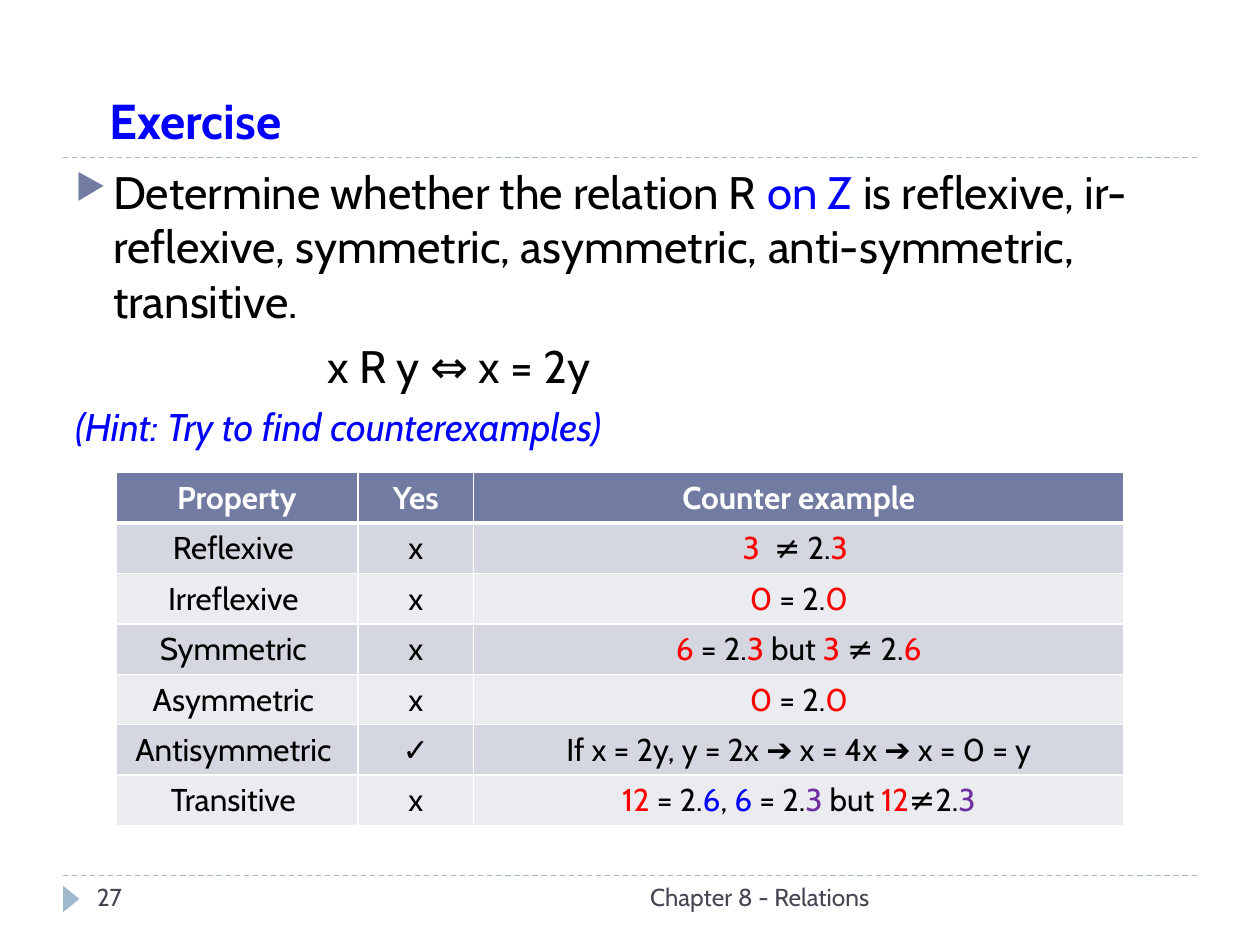
from lxml.etree import SubElement
from pptx import Presentation
from pptx.dml.color import RGBColor
from pptx.enum.dml import MSO_LINE
from pptx.enum.shapes import MSO_CONNECTOR, MSO_SHAPE
from pptx.enum.text import MSO_ANCHOR, MSO_AUTO_SIZE, PP_ALIGN
from pptx.oxml import parse_xml
from pptx.oxml.ns import nsdecls, qn
from pptx.util import Inches, Pt

BLACK = RGBColor(0x00, 0x00, 0x00)
WHITE = RGBColor(0xFF, 0xFF, 0xFF)
BLUE = RGBColor(0x00, 0x00, 0xFF)
RED = RGBColor(0xFF, 0x00, 0x00)
PURPLE = RGBColor(0x70, 0x30, 0xA0)
SLATE = RGBColor(0x72, 0x7C, 0xA3)
SKY = RGBColor(0x9F, 0xB8, 0xCD)
FOOTER_GREY = RGBColor(0x46, 0x46, 0x53)
BAND_DARK = RGBColor(0xD5, 0xD7, 0xE0)
BAND_LIGHT = RGBColor(0xEB, 0xEC, 0xF0)

FONT = "Cabin"
WIDTH, HEIGHT = 10, 7.5
MARGIN = 0.5
TITLE_RULE, FOOTER_RULE = 1.25, 6.95

COLUMN_SHARES = (0.24, 0.115, 0.645)
HEADERS = ("Property", "Yes", "Counter example")
ZERO_CASE = [("0", RED), (" = 2.", BLACK), ("0", RED)]
PROPERTIES = [
    ("Reflexive ", "x", [("3 ", RED), (" ≠ 2.", BLACK), ("3 ", RED)]),
    ("Irreflexive ", "x", ZERO_CASE),
    ("Symmetric ", "x", [("6", RED), (" = 2.", BLACK), ("3", RED), (" but ", BLACK),
                         ("3 ", RED), ("≠ 2.", BLACK), ("6", RED)]),
    ("Asymmetric ", "x", ZERO_CASE),
    ("Antisymmetric ", "✓", [("If x = 2y, y = 2x ➔ x = 4x ➔ x = 0 = y", BLACK)]),
    ("Transitive ", "x", [("12", RED), (" = 2.", BLACK), ("6", BLUE), (", ", BLACK),
                          ("6", BLUE), (" = 2.", BLACK), ("3", PURPLE), (" but ", BLACK),
                          ("12", RED), ("≠2.", BLACK), ("3", PURPLE)]),
]


def add_runs(paragraph, runs, **formats):
    """Append (text, colour) runs that share the given font attributes."""
    for text, colour in runs:
        run = paragraph.add_run()
        run.text = text
        run.font.color.rgb = colour
        for name, value in {"name": FONT, **formats}.items():
            setattr(run.font, name, value)


def add_text_frame(slide, box, wrap=True):
    frame = slide.shapes.add_textbox(*map(Inches, box)).text_frame
    frame.word_wrap = wrap
    return frame


def set_indent(paragraph, left, first=0):
    properties = paragraph._p.get_or_add_pPr()
    properties.set("marL", str(Inches(left)))
    properties.set("indent", str(Inches(first)))
    return properties


def add_triangle_bullet(properties):
    colour = SubElement(properties, qn("a:buClr"))
    SubElement(colour, qn("a:srgbClr"), val=str(SLATE))
    SubElement(properties, qn("a:buSzPct"), val="76000")
    SubElement(properties, qn("a:buChar"), char="▶")


def add_dashed_rule(slide, top):
    rule = slide.shapes.add_connector(
        MSO_CONNECTOR.STRAIGHT,
        *map(Inches, (MARGIN, top, WIDTH - MARGIN, top)))
    rule.line.color.rgb = SKY
    rule.line.width = Pt(0.75)
    rule.line.dash_style = MSO_LINE.DASH
    SubElement(rule._element.spPr, qn("a:effectLst"))


def add_title(slide, box):
    frame = add_text_frame(slide, box, wrap=False)
    frame.auto_size = MSO_AUTO_SIZE.SHAPE_TO_FIT_TEXT
    add_runs(frame.paragraphs[0], [("Exercise", BLUE)], size=Pt(28), bold=True)


def add_question(slide, box):
    frame = add_text_frame(slide, box)
    task, relation, hint = (
        frame.paragraphs[0], frame.add_paragraph(), frame.add_paragraph())
    for paragraph in frame.paragraphs:
        paragraph.space_before = Pt(6)
    add_triangle_bullet(set_indent(task, 0.3, -0.3))
    add_runs(task, [
        ("Determine whether the relation R ", BLACK),
        ("on Z", BLUE),
        (" is reflexive, ir-reflexive, symmetric, asymmetric, "
         "anti-symmetric, transitive.", BLACK),
    ], size=Pt(26))
    set_indent(relation, 2)
    add_runs(relation, [("x R y ⇔ x = 2y", BLACK)], size=Pt(26))
    add_runs(hint, [("(Hint: Try to find counterexamples)", BLUE)],
             size=Pt(22), italic=True)


def set_borders(cell, bottom):
    properties = cell._tc.get_or_add_tcPr()
    edges = {"lnL": 1, "lnR": 1, "lnT": 1, "lnB": bottom}
    for position, (edge, width) in enumerate(edges.items()):
        properties.insert(position, parse_xml(
            f'<a:{edge} {nsdecls("a")} w="{Pt(width)}"><a:solidFill>'
            f'<a:srgbClr val="{WHITE}"/></a:solidFill></a:{edge}>'))


def fill_cell(cell, runs, fill, bold=False, bottom=1):
    cell.fill.solid()
    cell.fill.fore_color.rgb = fill
    set_borders(cell, bottom)
    paragraph = cell.text_frame.paragraphs[0]
    paragraph.alignment = PP_ALIGN.CENTER
    add_runs(paragraph, runs, size=Pt(18), bold=bold)


def add_property_table(slide, box):
    row_count = len(PROPERTIES) + 1
    table = slide.shapes.add_table(
        row_count, len(HEADERS), *map(Inches, box)).table
    table.first_row = table.horz_banding = False
    for column, share in zip(table.columns, COLUMN_SHARES):
        column.width = Inches(box[2] * share)
    for row in table.rows:
        row.height = Inches(box[3] / row_count)
    for column, header in enumerate(HEADERS):
        fill_cell(table.cell(0, column), [(header, WHITE)], SLATE, bold=True, bottom=3)
    for row, (name, mark, example) in enumerate(PROPERTIES, start=1):
        fill = BAND_DARK if row % 2 else BAND_LIGHT
        for column, runs in enumerate(([(name, BLACK)], [(mark, BLACK)], example)):
            fill_cell(table.cell(row, column), runs, fill)


def add_footer(slide, box):
    left, top, width, height = box
    marker = slide.shapes.add_shape(
        MSO_SHAPE.ISOSCELES_TRIANGLE,
        *map(Inches, (left - 0.04, top + 0.12, 0.21, 0.13)))
    marker.rotation = 90
    marker.shadow.inherit = False
    marker.fill.solid()
    marker.fill.fore_color.rgb = SKY
    marker.line.fill.background()
    parts = [
        ("27", left + 0.17, 2.17, PP_ALIGN.LEFT),
        ("Chapter 8 - Relations", left + 2.67, 3.83, PP_ALIGN.RIGHT),
    ]
    for text, part_left, part_width, alignment in parts:
        frame = add_text_frame(slide, (part_left, top, part_width, height))
        frame.vertical_anchor = MSO_ANCHOR.TOP
        frame.paragraphs[0].alignment = alignment
        add_runs(frame.paragraphs[0], [(text, FOOTER_GREY)], size=Pt(14))


def main():
    presentation = Presentation()
    presentation.slide_width = Inches(WIDTH)
    presentation.slide_height = Inches(HEIGHT)
    slide = presentation.slides.add_slide(presentation.slide_layouts[6])
    content_width = WIDTH - 2 * MARGIN
    for top in (TITLE_RULE, FOOTER_RULE):
        add_dashed_rule(slide, top)
    add_question(slide, (MARGIN, TITLE_RULE, content_width, 5.4))
    add_property_table(slide, (0.92, 3.75, 8, 2.8))
    add_footer(slide, (MARGIN, FOOTER_RULE, content_width, 0.4))
    add_title(slide, (0.77, 0.67, 1.73, 0.57))
    presentation.save("out.pptx")


if __name__ == "__main__":
    main()
